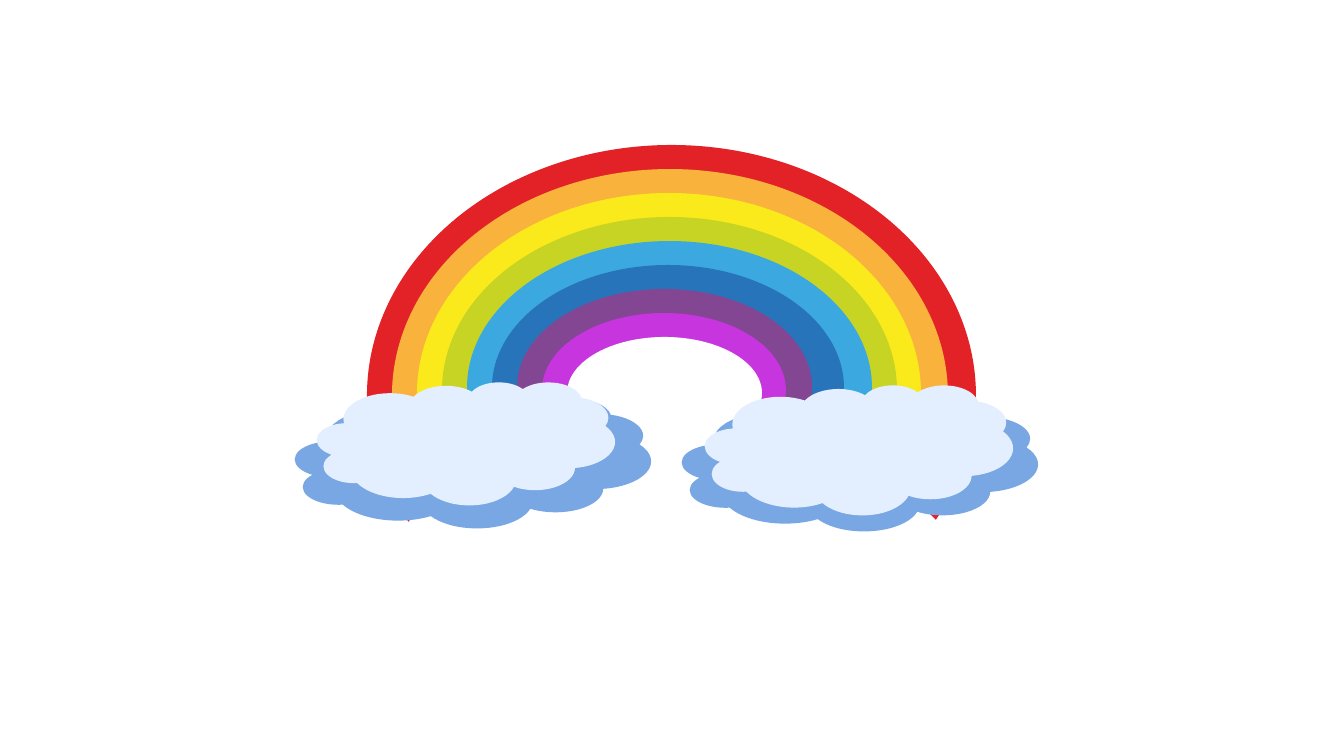
from dataclasses import dataclass

from pptx import Presentation
from pptx.dml.color import RGBColor
from pptx.enum.shapes import MSO_SHAPE as Preset
from pptx.util import Emu

EMU_PER_PIXEL = 914400 / 100.8
SLIDE_SIZE = (1344, 756)
BLANK_LAYOUT = 6


@dataclass(frozen=True)
class Theme:
    sky: str = "FFFFFF"
    cloud_shade: str = "79A7E3"
    cloud_light: str = "E3EEFF"
    bands: tuple = ("E32227", "F9B33D", "FAEA1C", "C8D423",
                    "3BA9E0", "2874BA", "824693", "C735DE")


THEME = Theme()

RAINBOW_LEFT, RAINBOW_TOP = 367, 145
BAND_STEP_X, BAND_STEP_Y = 25, 24
ARC_SIZES = [(609, 501), (556, 453), (504, 401), (455, 346), (405, 293),
             (352, 245), (295, 196), (244, 154), (195, 112)]
HORIZON = (347, 420, 652, 490)
CLOUDS = [((295, 398, 356, 130), (317, 382, 298, 123)),
          ((682, 401, 356, 130), (705, 385, 308, 130))]


def px(pixels):
    return Emu(round(pixels * EMU_PER_PIXEL))


def add_filled(shapes, preset, box, color):
    figure = shapes.add_shape(preset, *map(px, box))
    figure.shadow.inherit = False
    figure.fill.solid()
    figure.fill.fore_color.rgb = RGBColor.from_string(color)
    figure.line.fill.background()


def add_rainbow(slide):
    rainbow = slide.shapes.add_group_shape()
    colors = (*THEME.bands, THEME.sky)
    for band, (size, color) in enumerate(zip(ARC_SIZES, colors)):
        left = RAINBOW_LEFT + band * BAND_STEP_X
        top = RAINBOW_TOP + band * BAND_STEP_Y
        add_filled(rainbow.shapes, Preset.OVAL, (left, top, *size), color)


def add_cloud(slide, shade_box, light_box):
    cloud = slide.shapes.add_group_shape()
    add_filled(cloud.shapes, Preset.CLOUD, shade_box, THEME.cloud_shade)
    add_filled(cloud.shapes, Preset.CLOUD, light_box, THEME.cloud_light)


def main():
    deck = Presentation()
    deck.slide_width, deck.slide_height = map(px, SLIDE_SIZE)
    slide = deck.slides.add_slide(deck.slide_layouts[BLANK_LAYOUT])
    add_rainbow(slide)
    add_filled(slide.shapes, Preset.OVAL, HORIZON, THEME.sky)
    for shade_box, light_box in CLOUDS:
        add_cloud(slide, shade_box, light_box)
    deck.save("out.pptx")


main()
